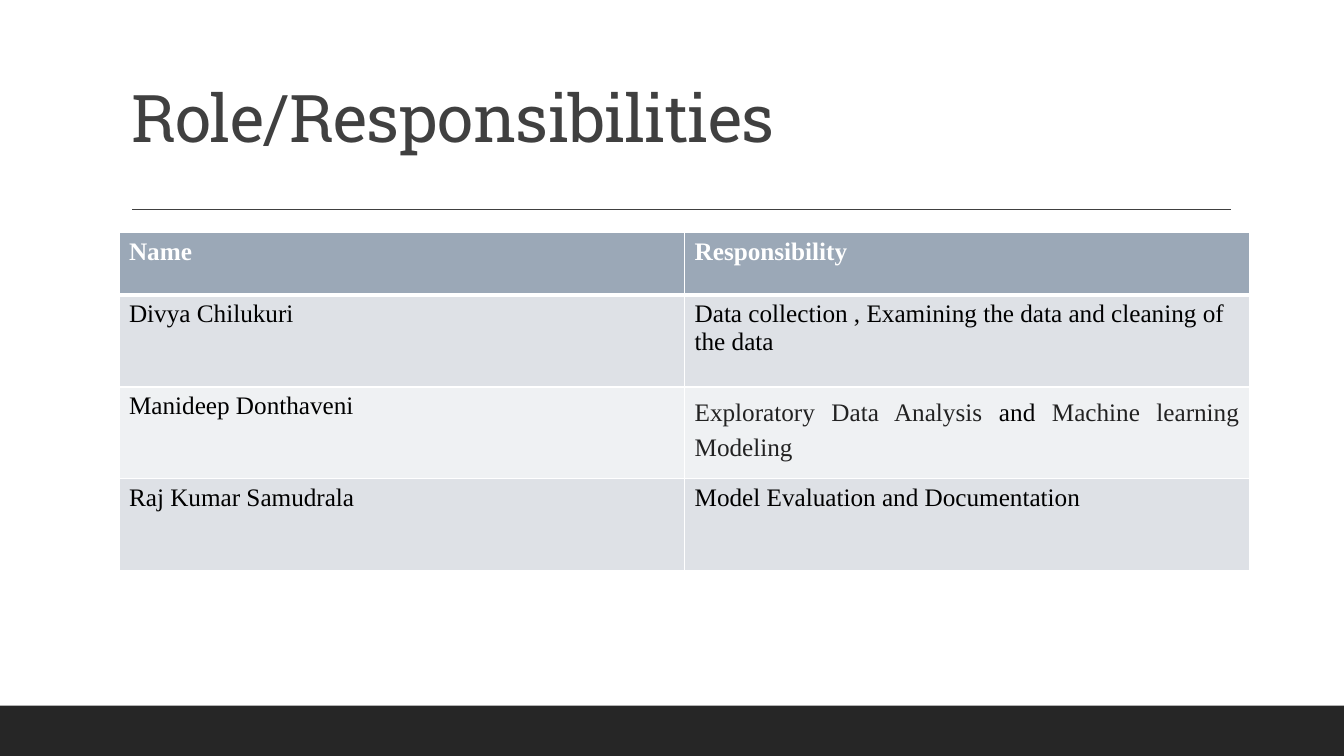
from lxml.etree import SubElement
from pptx import Presentation
from pptx.dml.color import RGBColor
from pptx.enum.shapes import MSO_CONNECTOR, MSO_SHAPE
from pptx.enum.text import MSO_ANCHOR, MSO_AUTO_SIZE, PP_ALIGN
from pptx.oxml import parse_xml
from pptx.oxml.ns import nsdecls, qn
from pptx.util import Inches, Pt

WHITE = RGBColor(0xFF, 0xFF, 0xFF)
BLACK = RGBColor(0, 0, 0)
INK = RGBColor(0x22, 0x22, 0x22)
CHARCOAL = RGBColor(0x40, 0x40, 0x40)
FOOTER = RGBColor(0x26, 0x26, 0x26)
HEADER = RGBColor(0x9B, 0xA8, 0xB7)
BANDS = (RGBColor(0xDE, 0xE1, 0xE6), RGBColor(0xEF, 0xF1, 0xF3))

WIDTH, HEIGHT = Inches(13.33), Inches(7.5)
COLUMNS = (5.61, 5.6)
HEADER_ROW, BODY_ROW = 0.62, 0.91

ROWS = (
    (("Name",), ("Responsibility",)),
    (("Divya Chilukuri",),
     ("Data collection , Examining the data and cleaning of the data",)),
    (("Manideep Donthaveni",),
     ("Exploratory Data Analysis", " and ", "Machine learning Modeling")),
    (("Raj Kumar Samudrala",), ("Model Evaluation and Documentation",)),
)


def add_footer_band(s):
    top = int(HEIGHT * 14 / 15)
    sp = s.shapes.add_shape(MSO_SHAPE.RECTANGLE, 0, top, WIDTH, HEIGHT - top)
    sp.shadow.inherit = False
    sp.fill.solid()
    sp.fill.fore_color.rgb = FOOTER
    sp.line.fill.background()


def add_rule(s, left, right, y):
    line = s.shapes.add_connector(
        MSO_CONNECTOR.STRAIGHT, Inches(left), Inches(y), Inches(right), Inches(y))
    line.line.color.rgb = CHARCOAL
    line.line.width = Pt(1)
    SubElement(line._element.spPr, qn("a:effectLst"))


def set_title(s, text):
    sp = s.shapes.title
    sp.left, sp.top = Inches(1.2), Inches(0.31)
    sp.width, sp.height = Inches(11), Inches(1.3)
    tf = sp.text_frame
    tf.word_wrap = True
    tf.auto_size = MSO_AUTO_SIZE.NONE
    tf.vertical_anchor = MSO_ANCHOR.BOTTOM
    p = tf.paragraphs[0]
    p.alignment = PP_ALIGN.LEFT
    p.line_spacing = 0.9
    p.font.name, p.font.size = "Roboto Slab", Pt(47)
    p.font.color.rgb = CHARCOAL
    r = p.add_run()
    r.text = text
    r._r.get_or_add_rPr().set("spc", "-50")


def set_borders(cell, top, bottom):
    sides = (("L", 1), ("R", 1), ("T", top), ("B", bottom))
    for i, (side, points) in enumerate(sides):
        cell._tc.get_or_add_tcPr().insert(i, parse_xml(
            f'<a:ln{side} {nsdecls("a")} w="{Pt(points)}"><a:solidFill>'
            f'<a:srgbClr val="{WHITE}"/></a:solidFill></a:ln{side}>'))


def fill_cell(cell, texts, row):
    is_header = row == 0
    cell.fill.solid()
    cell.fill.fore_color.rgb = HEADER if is_header else BANDS[(row - 1) % 2]
    set_borders(cell, 3 if row == 1 else 1, 3 if is_header else 1)
    p = cell.text_frame.paragraphs[0]
    p.font.name, p.font.size = "Times New Roman", Pt(18)
    p.font.bold = is_header
    p.font.color.rgb = WHITE if is_header else BLACK
    for i, text in enumerate(texts):
        r = p.add_run()
        r.text = text
        if len(texts) > 1 and i % 2 == 0:
            r.font.color.rgb = INK
    if len(texts) > 1:
        p.alignment = PP_ALIGN.JUSTIFY
        p.line_spacing = Pt(24.8)
        p.space_after = Pt(8)


def add_roles_table(s, left, top):
    heights = [HEADER_ROW] + [BODY_ROW] * (len(ROWS) - 1)
    table = s.shapes.add_table(
        len(ROWS), len(COLUMNS), Inches(left), Inches(top),
        Inches(sum(COLUMNS)), Inches(sum(heights))).table
    for column, width in zip(table.columns, COLUMNS):
        column.width = Inches(width)
    for i, (height, texts) in enumerate(zip(heights, ROWS)):
        table.rows[i].height = Inches(height)
        for j, cell_texts in enumerate(texts):
            fill_cell(table.cell(i, j), cell_texts, i)


def main():
    prs = Presentation()
    prs.slide_width, prs.slide_height = WIDTH, HEIGHT
    s = prs.slides.add_slide(prs.slide_layouts[5])
    add_footer_band(s)
    add_rule(s, 1.31, 12.21, 2.08)
    set_title(s, "Role/Responsibilities")
    add_roles_table(s, 1.18, 2.31)
    prs.save("out.pptx")


if __name__ == "__main__":
    main()
